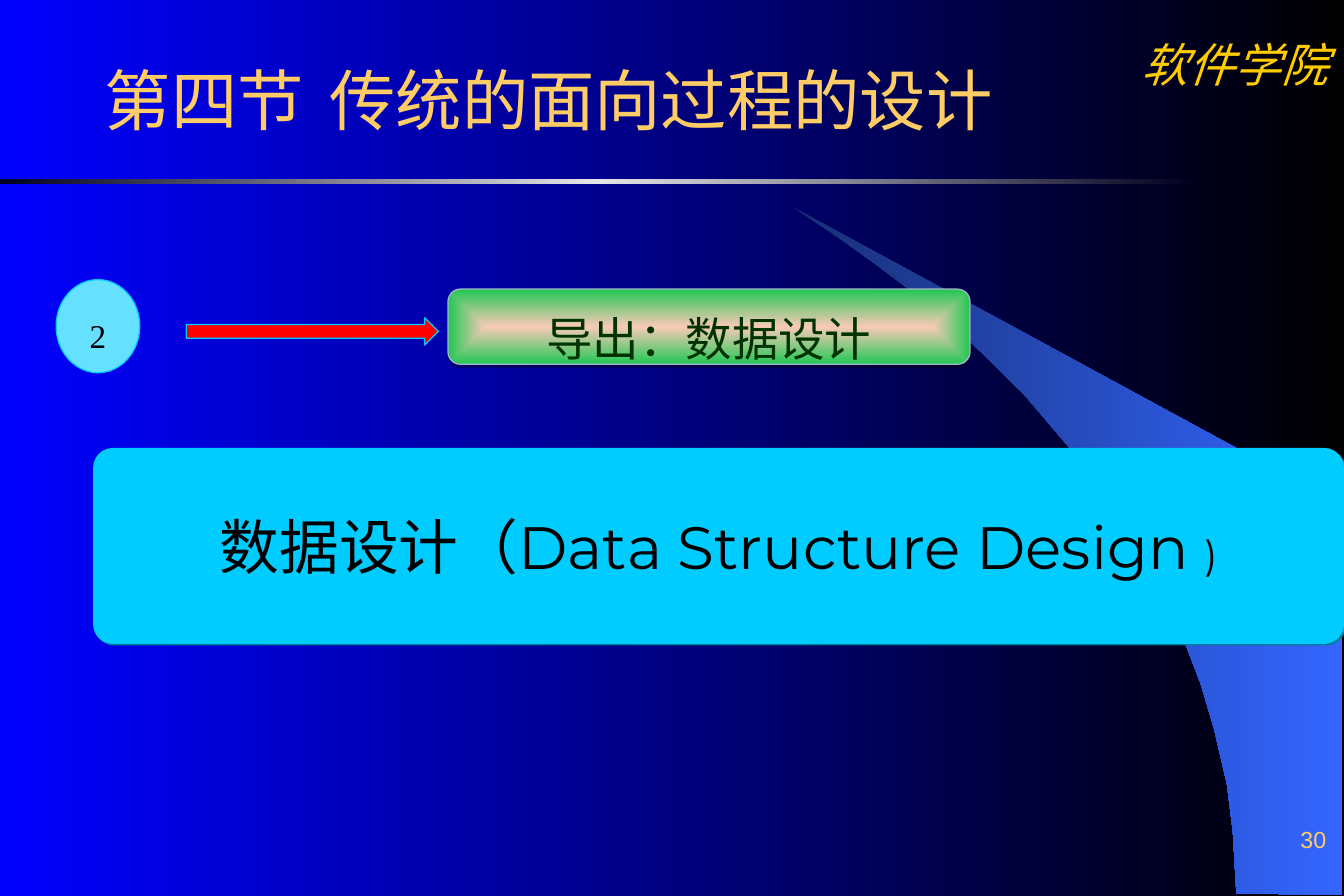
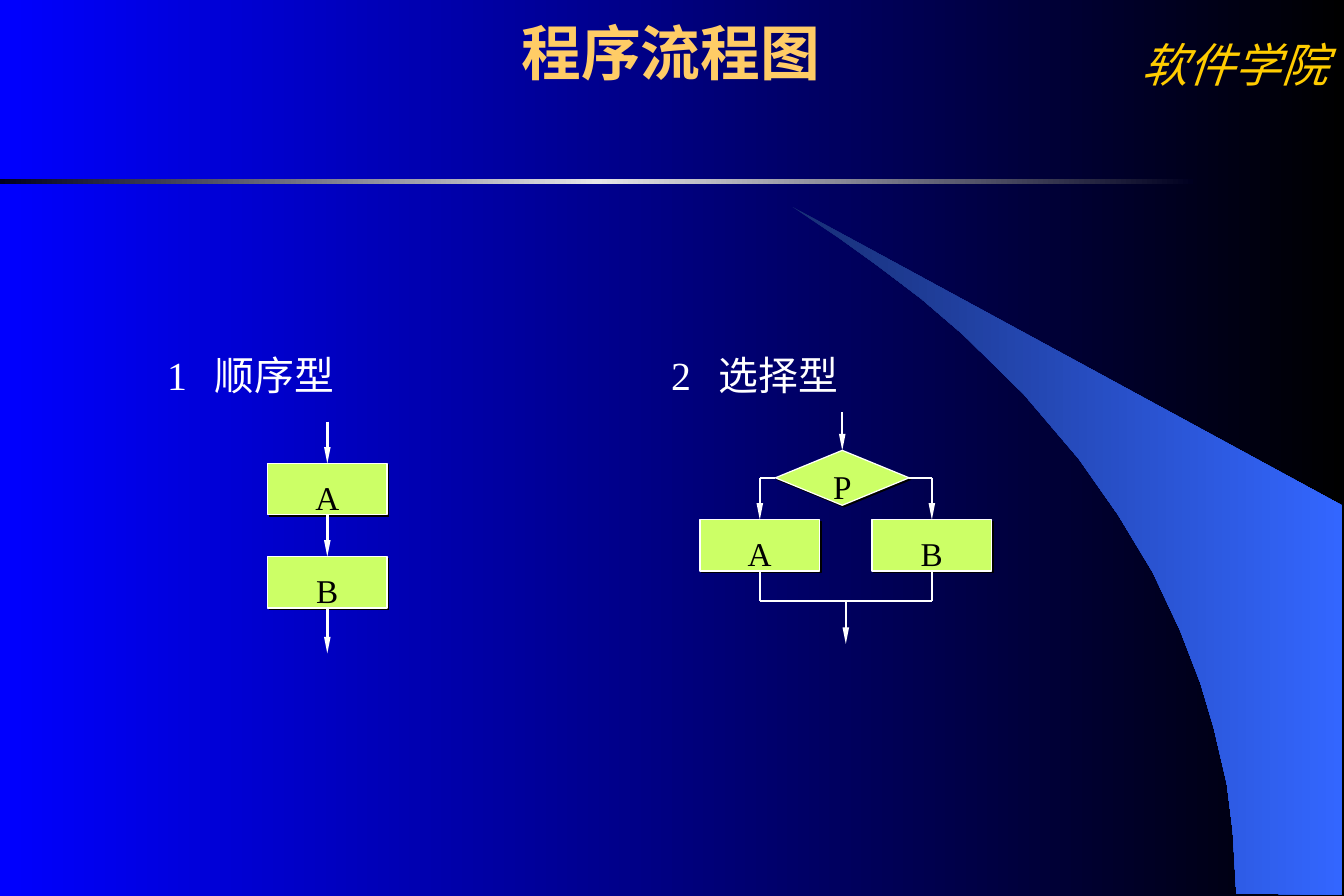
from dataclasses import dataclass
from typing import Any, Optional

from lxml.etree import SubElement
from pptx import Presentation
from pptx.dml.color import RGBColor
from pptx.enum.shapes import MSO_CONNECTOR, MSO_SHAPE
from pptx.enum.text import MSO_ANCHOR, PP_ALIGN
from pptx.oxml.ns import qn
from pptx.util import Pt

PX = 9144  # 100 px to the inch
TOP, LEFT, BASE, RIGHT = range(4)
SERIF, SANS, ARIAL = "Times New Roman", "Montserrat", "Arial"
HUES = {
    "blue": "0000FF", "black": "000000", "white": "FFFFFF", "gold": "FFCC66",
    "amber": "FFCC00", "navy": "182F76", "azure": "3366FF", "ink": "000020",
    "silver": "E5E5E8", "cyan": "00CCFF", "teal": "007A99", "sky": "66E0FF",
    "red": "FF0000", "peach": "F8CAB6", "green": "21C754", "steel": "A5B5CF",
    "pine": "003300", "lime": "CCFF66",
}
SWOOP = [
    (1035, 748), (1123, 749), (1123, 423), (663, 173), (702, 199), (734, 222),
    (771, 250), (806, 280), (857, 330), (903, 384), (936, 431), (965, 479),
    (988, 528), (1005, 572), (1016, 609), (1027, 656), (1032, 696),
]


@dataclass(frozen=True)
class Box:
    x: int
    y: int
    w: int
    h: int

    def emu(self) -> list[int]:
        return [n * PX for n in (self.x, self.y, self.w, self.h)]


@dataclass(frozen=True)
class Type:
    size: int
    face: str = SERIF
    hue: str = "black"
    align: Any = PP_ALIGN.CENTER
    anchor: Any = MSO_ANCHOR.MIDDLE
    pad: tuple[int, int] = (10, 5)
    space: float = 1.0
    bold: bool = False
    slant: bool = False
    tab: int = 0


@dataclass(frozen=True)
class Shade:
    hue: str
    alpha: int
    dist: float
    turn: int


@dataclass(frozen=True)
class Node:
    key: str
    text: str
    kind: Any
    box: Box


@dataclass(frozen=True)
class Wire:
    start: tuple[int, int]
    end: tuple[int, int]
    arrow: bool = False
    source: Optional[tuple[str, int]] = None
    goal: Optional[tuple[str, int]] = None


def color(hue: str) -> RGBColor:
    return RGBColor.from_string(HUES[hue])


def grade(fill: Any, root: Any, stops: dict[int, str], inward: bool = False) -> None:
    fill.gradient()
    fill.gradient_angle = 0
    grad = next(root.iter(qn("a:gradFill")))
    row = grad.find(qn("a:gsLst"))
    for old in list(row):
        row.remove(old)
    for at, hue in stops.items():
        stop = SubElement(row, qn("a:gs"), pos=str(at * 1000))
        SubElement(stop, qn("a:srgbClr"), val=HUES[hue])
    if inward:
        grad.remove(grad.find(qn("a:lin")))
        way = SubElement(grad, qn("a:path"), path="rect")
        SubElement(way, qn("a:fillToRect"), l="50000", t="50000", r="50000", b="50000")


def write(shape: Any, text: str, style: Type) -> Any:
    frame = shape.text_frame
    frame.word_wrap = True
    frame.vertical_anchor = style.anchor
    frame.margin_left = frame.margin_right = style.pad[0] * PX
    frame.margin_top = frame.margin_bottom = style.pad[1] * PX
    para = frame.paragraphs[0]
    if style.tab:
        tabs = SubElement(para._p.get_or_add_pPr(), qn("a:tabLst"))
        SubElement(tabs, qn("a:tab"), pos=str(style.tab * PX), algn="l")
    para.text = text
    para.alignment = style.align
    para.line_spacing = style.space
    for run in para.runs:
        dress(run, style)
    return para


def dress(run: Any, style: Type) -> None:
    font = run.font
    font.size, font.name = Pt(style.size), style.face
    font.bold, font.italic = style.bold, style.slant
    font.color.rgb = color(style.hue)


def label(slide: Any, box: Box, text: str, style: Type) -> None:
    write(slide.shapes.add_textbox(*box.emu()), text, style)


def draw(slide: Any, kind: Any, box: Box, fill: str = "", edge: str = "",
         shade: Optional[Shade] = None) -> Any:
    shape = slide.shapes.add_shape(kind, *box.emu())
    if fill:
        shape.fill.solid()
        shape.fill.fore_color.rgb = color(fill)
    if edge:
        shape.line.color.rgb = color(edge)
        shape.line.width = Pt(0.75)
    else:
        shape.line.fill.background()
    shape.shadow.inherit = False
    if shade:
        cast = SubElement(shape._element.spPr.find(qn("a:effectLst")), qn("a:outerShdw"),
                          dist=str(Pt(shade.dist)), dir=str(shade.turn * 60000),
                          algn="ctr", rotWithShape="0")
        tone = SubElement(cast, qn("a:srgbClr"), val=HUES[shade.hue])
        SubElement(tone, qn("a:alpha"), val=str(shade.alpha * 1000))
    return shape


def link(slide: Any, wire: Wire, nodes: dict[str, Any]) -> None:
    ends = [n * PX for n in wire.start + wire.end]
    line = slide.shapes.add_connector(MSO_CONNECTOR.STRAIGHT, *ends)
    line.line.color.rgb = color("white")
    line.line.width = Pt(1.5)
    if wire.arrow:
        SubElement(line.line._get_or_add_ln(), qn("a:tailEnd"),
                   type="triangle", w="sm", len="lg")
    SubElement(line._element.spPr, qn("a:effectLst"))
    if wire.source:
        line.begin_connect(nodes[wire.source[0]], wire.source[1])
    if wire.goal:
        line.end_connect(nodes[wire.goal[0]], wire.goal[1])


def start(deck: Any) -> Any:
    """Add a slide with the shared school name, swoop and rule."""
    slide = deck.slides.add_slide(deck.slide_layouts[6])
    label(slide, Box(942, 25, 183, 57), "软件学院",
          Type(28, hue="amber", slant=True, anchor=MSO_ANCHOR.TOP))
    path = slide.shapes.build_freeform(*SWOOP[0], scale=PX)
    path.add_line_segments(SWOOP[1:], close=True)
    swoop = path.convert_to_shape()
    swoop.line.fill.background()
    swoop.shadow.inherit = False
    grade(swoop.fill, swoop._element, {0: "navy", 100: "azure"})
    rule = draw(slide, MSO_SHAPE.RECTANGLE, Box(0, 150, 999, 4))
    grade(rule.fill, rule._element, {0: "ink", 50: "silver", 100: "ink"})
    return slide


def topic(deck: Any) -> None:
    slide = start(deck)
    label(slide, Box(886, 672, 234, 42), "30",
          Type(14, ARIAL, "gold", PP_ALIGN.RIGHT, MSO_ANCHOR.BOTTOM, (10, 0)))
    label(slide, Box(78, 55, 820, 55), "第四节\t传统的面向过程的设计",
          Type(40, SANS, "gold", PP_ALIGN.LEFT, tab=188))

    # Main panel
    panel = draw(slide, MSO_SHAPE.ROUNDED_RECTANGLE, Box(78, 375, 1047, 164),
                 "cyan", shade=Shade("teal", 100, 1.4, 45))
    panel.adjustments[0] = 0.1
    para = write(panel, "数据设计（Data Structure Design ", Type(36, SANS, pad=(10, 0)))
    close = para.add_run()
    close.text = ")"
    dress(close, Type(24, SANS))

    # Step, arrow and result
    step = draw(slide, MSO_SHAPE.OVAL, Box(47, 234, 70, 78), "sky", "cyan")
    write(step, "2", Type(20, anchor=MSO_ANCHOR.TOP, space=1.4))
    draw(slide, MSO_SHAPE.RIGHT_ARROW, Box(156, 266, 211, 23), "red", "cyan")
    result = draw(slide, MSO_SHAPE.ROUNDED_RECTANGLE, Box(375, 242, 437, 63),
                  edge="steel", shade=Shade("black", 35, 1.8, 90))
    grade(result.fill, result._element, {0: "peach", 100: "green"}, inward=True)
    write(result, "导出：数据设计", Type(28, SANS, "pine", pad=(0, 0), space=1.4))


def flow(deck: Any) -> None:
    slide = start(deck)
    label(slide, Box(55, 0, 1013, 87), "程序流程图", Type(36, hue="gold", bold=True))
    head = Type(24, hue="white", align=PP_ALIGN.LEFT, anchor=MSO_ANCHOR.TOP,
                space=1.4, tab=40)
    for x, text in ((130, "1\t顺序型"), (552, "2\t选择型")):
        label(slide, Box(x, 273, 180, 66), text, head)

    # Boxes of both charts
    rect = MSO_SHAPE.RECTANGLE
    parts = [
        Node("first", "A", rect, Box(224, 388, 100, 43)),
        Node("next", "B", rect, Box(224, 466, 100, 43)),
        Node("yes", "A", rect, Box(586, 435, 100, 43)),
        Node("no", "B", rect, Box(730, 435, 100, 43)),
        Node("test", "P", MSO_SHAPE.DIAMOND, Box(649, 377, 112, 46)),
    ]
    shade = Shade("black", 100, 1.4, 45)
    nodes = {}
    for part in parts:
        nodes[part.key] = draw(slide, part.kind, part.box, "lime", "white", shade)
        write(nodes[part.key], part.text, Type(20, space=1.4))

    # Lines of both charts
    wires = [
        Wire((274, 353), (274, 388), True, goal=("first", TOP)),
        Wire((274, 431), (274, 466), True, ("first", BASE), ("next", TOP)),
        Wire((274, 509), (274, 547), True, ("next", BASE)),
        Wire((705, 345), (705, 377), True, goal=("test", TOP)),
        Wire((649, 400), (636, 400), source=("test", LEFT)),
        Wire((761, 400), (780, 400), source=("test", RIGHT)),
        Wire((636, 400), (636, 435), True, goal=("yes", TOP)),
        Wire((780, 400), (780, 435), True, goal=("no", TOP)),
        Wire((636, 478), (636, 503), source=("yes", BASE)),
        Wire((780, 478), (780, 503), source=("no", BASE)),
        Wire((636, 503), (780, 503)),
        Wire((708, 503), (708, 539), True),
    ]
    for wire in wires:
        link(slide, wire, nodes)


def main() -> None:
    deck = Presentation()
    deck.slide_width, deck.slide_height = 1125 * PX, 750 * PX
    master = deck.slide_master
    grade(master.background.fill, master._element, {0: "blue", 100: "black"})
    topic(deck)
    flow(deck)
    deck.save("out.pptx")


if __name__ == "__main__":
    main()
